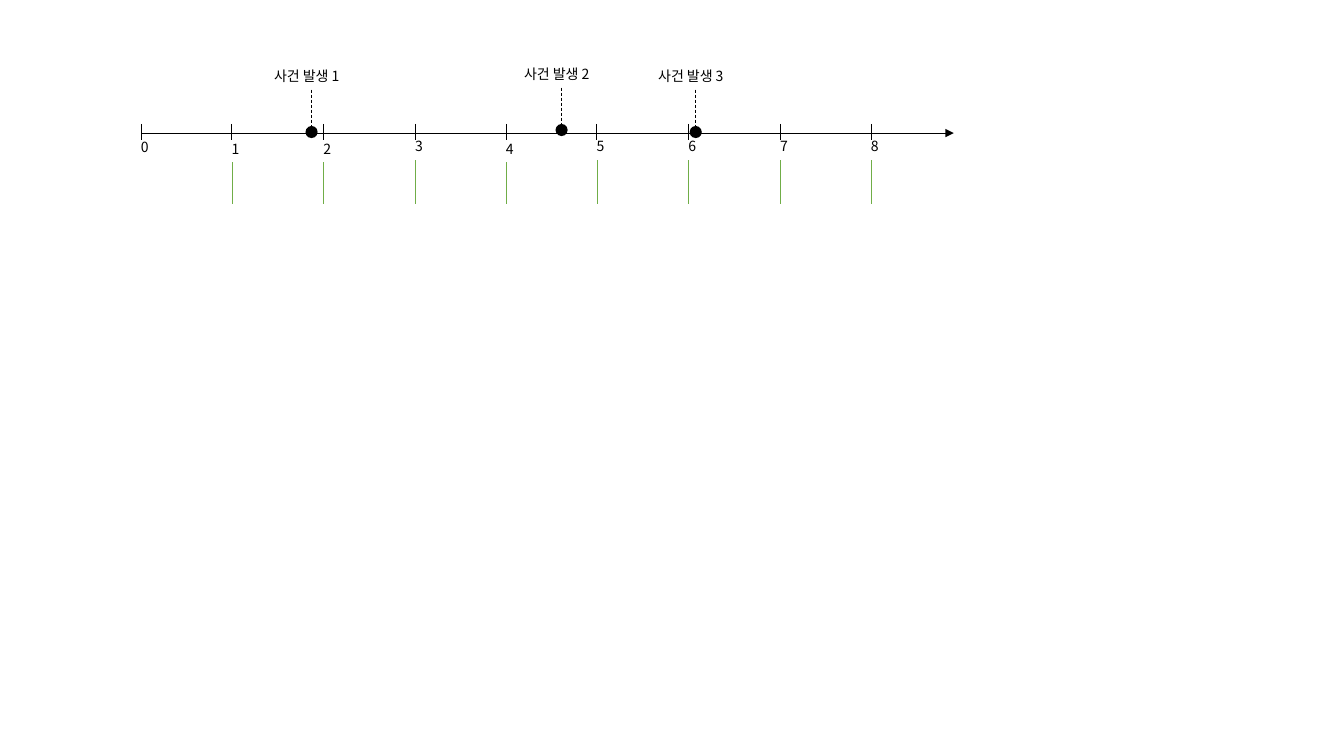
from pptx import Presentation
from pptx import util as u
from pptx.dml.color import RGBColor
from pptx.enum import dml, shapes, text
from pptx.oxml.ns import qn
from lxml import etree

PX = u.Inches(1) // 100  # one px is a hundredth of an inch


def color(value):
    return RGBColor.from_string(value)


class Timeline:
    """Style of the timeline and the slide it is drawn on."""
    font = "Noto Sans CJK KR"
    size = 10
    ink = "000000"
    green = "70AD47"

    def __init__(self, page):
        self.page = page

    def label(self, words, left, top, width, height=27, wrap=True):
        box = self.page.shapes.add_textbox(*(n * PX for n in (left, top, width, height)))
        frame = box.text_frame
        frame.text = words
        frame.word_wrap = wrap
        frame.auto_size = text.MSO_AUTO_SIZE.SHAPE_TO_FIT_TEXT
        para = frame.paragraphs[0]
        if wrap:
            para.alignment = text.PP_ALIGN.CENTER
        span = para.runs[0]
        span.font.size = u.Pt(self.size)
        span.font.name = self.font
        span.font.color.rgb = color(self.ink)
        etree.SubElement(span.font._element, qn("a:ea")).set("typeface", self.font)
        return box

    def dot(self, center, top, size=12):
        dot = self.page.shapes.add_shape(
            shapes.MSO_SHAPE.OVAL, (center - size // 2) * PX, top * PX, size * PX, size * PX)
        dot.shadow.inherit = False
        dot.fill.solid()
        dot.fill.fore_color.rgb = color(self.ink)
        dot.line.fill.background()
        return dot

    def line(self, x1, y1, x2, y2, weight, ink=ink, dash=None, arrow=False):
        line = self.page.shapes.add_connector(
            shapes.MSO_CONNECTOR.STRAIGHT, x1 * PX, y1 * PX, x2 * PX, y2 * PX)
        line.line.color.rgb = color(ink)
        line.line.width = u.Pt(weight)
        if dash:
            line.line.dash_style = dash
        if arrow:
            etree.SubElement(line.line._get_or_add_ln(), qn("a:tailEnd")).set("type", "triangle")
        etree.SubElement(line._element.spPr, qn("a:effectLst"))
        return line

    def event(self, number, center, top):
        box = self.label(f"사건 발생 {number}", center - 47, top, 94, wrap=False)
        dot = self.dot(center, top + 63)
        drop = self.line(center, top + 27, center, top + 63, 0.5,
                         dash=dml.MSO_LINE.DASH)
        drop.begin_connect(box, 2)
        drop.end_connect(dot, 0)


def main():
    deck = Presentation()
    deck.slide_width, deck.slide_height = 1333 * PX, 750 * PX
    timeline = Timeline(deck.slides.add_slide(deck.slide_layouts[6]))

    # Axis
    timeline.line(140, 132, 946, 132, 0.5, arrow=True)

    # Events
    for number, (center, top) in enumerate([(309, 62), (557, 60), (690, 62)], 1):
        timeline.event(number, center, top)

    # Ticks and their numbers
    ticks = [round(140 + 90.5 * i) for i in range(9)]
    label_tops = [133, 134, 134, 132, 134, 132, 132, 132, 132]
    for x in ticks:
        timeline.line(x, 123, x, 139, 0.75)
    for number, (x, top) in enumerate(zip(ticks, label_tops)):
        timeline.label(str(number), x - 10, top, 20)

    # Dotted guides under the numbers
    for x, top in zip(ticks[1:], label_tops[1:]):
        timeline.line(x, top + 27, x, 202, 0.25, timeline.green,
                      dml.MSO_LINE.ROUND_DOT)

    deck.save("out.pptx")


if __name__ == "__main__":
    main()
